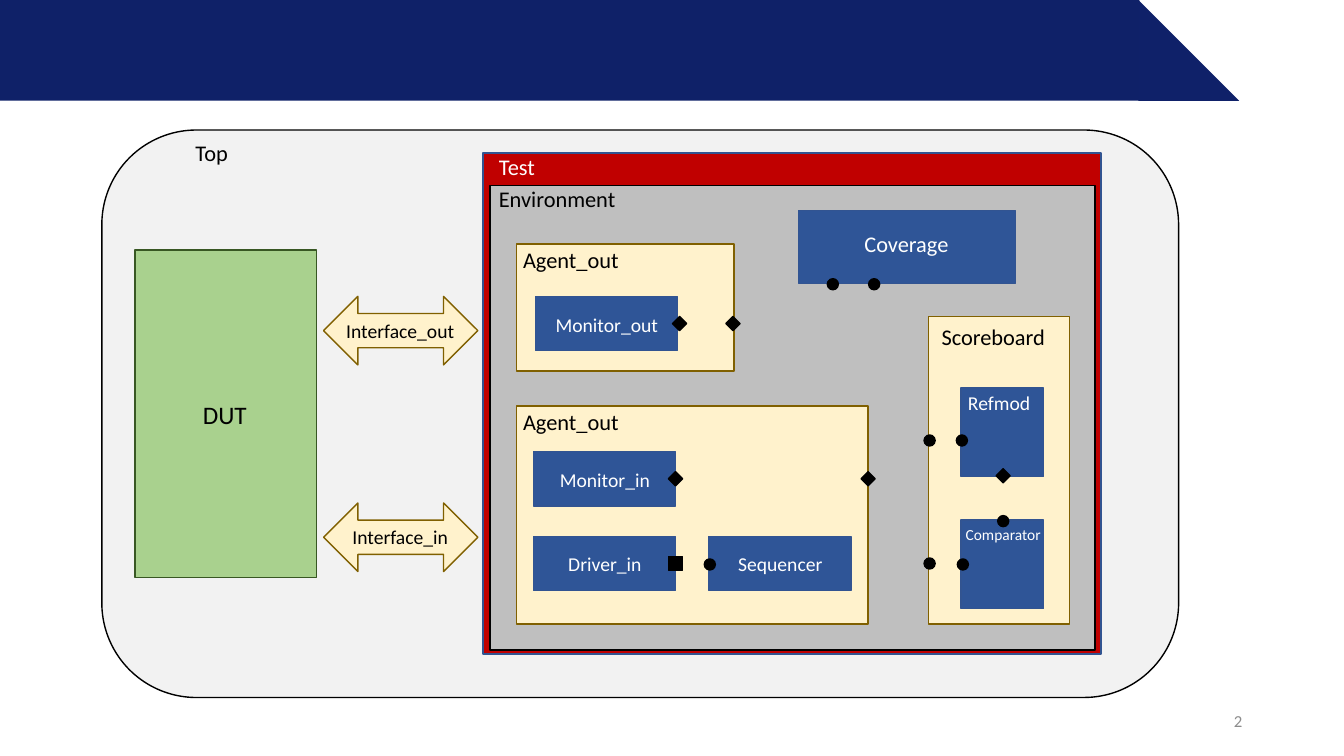
from dataclasses import dataclass
from typing import Optional

from pptx import Presentation
from pptx.dml.color import RGBColor
from pptx.enum.shapes import MSO_SHAPE
from pptx.enum.text import PP_ALIGN
from pptx.util import Inches, Pt

NAVY, TRIANGLE_NAVY = "0F2168", "0F2169"
BLUE, BLUE_EDGE = "2F5597", "325491"
CREAM, CREAM_EDGE = "FFF2CC", "806000"
BLACK, WHITE = "000000", "FFFFFF"
LABEL_WIDTH = 3


@dataclass
class Block:
    left: float
    top: float
    width: float
    height: float
    fill: str
    edge: Optional[str] = None
    kind: MSO_SHAPE = MSO_SHAPE.RECTANGLE


@dataclass
class Label:
    text: str
    left: float
    top: float
    size: int = 16
    color: str = BLACK
    align: PP_ALIGN = PP_ALIGN.LEFT


@dataclass
class PortGroup:
    kind: MSO_SHAPE
    size: float
    centers: list[tuple[float, float]]


def paint(target, color: str) -> None:
    target.solid()
    target.fore_color.rgb = RGBColor.from_string(color)


def draw_block(page, block: Block) -> None:
    shape = page.shapes.add_shape(
        block.kind, Inches(block.left), Inches(block.top), Inches(block.width), Inches(block.height)
    )
    shape.shadow.inherit = False
    paint(shape.fill, block.fill)
    if block.edge:
        paint(shape.line.fill, block.edge)
        shape.line.width = Pt(1)
    else:
        shape.line.fill.background()


def draw_label(page, label: Label) -> None:
    height = Inches(0.1) + Pt(label.size * 1.2)
    box = page.shapes.add_textbox(Inches(label.left), Inches(label.top), Inches(LABEL_WIDTH), height)
    box.text_frame.word_wrap = True
    box.text_frame.text = label.text
    para = box.text_frame.paragraphs[0]
    para.alignment = label.align
    span = para.runs[0]
    span.font.name = "Calibri"
    span.font.size = Pt(label.size)
    paint(span.font.fill, label.color)


def draw_ports(page, group: PortGroup) -> None:
    for x, y in group.centers:
        half = group.size / 2
        draw_block(page, Block(x - half, y - half, group.size, group.size, BLACK, BLACK, group.kind))


def component(left: float, top: float, width: float = 1.41, height: float = 0.54) -> Block:
    return Block(left, top, width, height, BLUE, BLUE_EDGE)


def container(left: float, top: float, width: float, height: float) -> Block:
    return Block(left, top, width, height, CREAM, CREAM_EDGE)


def interface(top: float) -> Block:
    return Block(3.21, top, 1.53, 0.68, CREAM, CREAM_EDGE, MSO_SHAPE.LEFT_RIGHT_ARROW)


def centered(text: str, center: float, top: float, size: int = 14, color: str = WHITE) -> Label:
    return Label(text, center - LABEL_WIDTH / 2, top, size, color, PP_ALIGN.CENTER)


blocks = [
    Block(-0.01, 0, 11.31, 1, NAVY),
    Block(11.29, 0, 1, 1, TRIANGLE_NAVY, kind=MSO_SHAPE.RIGHT_TRIANGLE),
    Block(1.01, 1.29, 10.68, 5.63, "F2F2F2", BLACK, MSO_SHAPE.ROUNDED_RECTANGLE),
    Block(4.79, 1.52, 6.13, 4.97, "C00000", BLUE_EDGE),
    Block(1.34, 2.48, 1.8, 3.25, "A9D18E", "385723"),
    Block(4.86, 1.84, 6, 4.61, "BFBFBF", BLACK),
    interface(2.94),
    interface(4.99),
    container(5.12, 2.42, 2.16, 1.26),
    container(5.12, 4.03, 3.49, 2.16),
    container(9.21, 3.14, 1.4, 3.05),
    component(5.31, 2.94),
    component(5.29, 4.48),
    component(5.29, 5.32),
    component(7.03, 5.32),
    component(9.53, 3.85, 0.82, 0.88),
    component(9.53, 5.16, 0.82, 0.88),
    component(7.92, 2.09, 2.15, 0.72),
]

labels = [
    Label("Top", 1.84, 1.33),
    Label("Test", 4.85, 1.47, color=WHITE),
    Label("Environment", 4.85, 1.79),
    Label("Agent_out", 5.09, 2.39),
    Label("Agent_out", 5.09, 4),
    Label("Scoreboard", 9.24, 3.16),
    centered("DUT", 2.23, 3.91, 18, BLACK),
    centered("Interface_out", 3.97, 3.11, color=BLACK),
    centered("Interface_in", 3.97, 5.16, color=BLACK),
    centered("Monitor_out", 6.02, 3.05),
    centered("Monitor_in", 6, 4.59),
    centered("Driver_in", 6, 5.43),
    centered("Sequencer", 7.74, 5.43),
    centered("Refmod", 9.91, 3.83),
    centered("Comparator", 9.95, 5.16, 11),
    centered("Coverage", 8.99, 2.23, 16),
    Label("2", 9.42, 7, 12, "8C8C8C", PP_ALIGN.RIGHT),
]

port_groups = [
    PortGroup(MSO_SHAPE.OVAL, 0.11, [
        (8.26, 2.82), (8.67, 2.82), (9.22, 4.37), (9.54, 4.37),
        (9.95, 5.17), (9.22, 5.59), (9.55, 5.6), (7.04, 5.6),
    ]),
    PortGroup(MSO_SHAPE.DIAMOND, 0.14, [
        (6.74, 3.21), (7.27, 3.21), (6.7, 4.75), (8.61, 4.75), (9.95, 4.72),
    ]),
    PortGroup(MSO_SHAPE.RECTANGLE, 0.14, [(6.7, 5.59)]),
]

deck = Presentation()
deck.slide_width, deck.slide_height = Inches(13.33), Inches(7.5)
page = deck.slides.add_slide(deck.slide_layouts[6])
for block in blocks:
    draw_block(page, block)
for label in labels:
    draw_label(page, label)
for group in port_groups:
    draw_ports(page, group)
deck.save("out.pptx")
